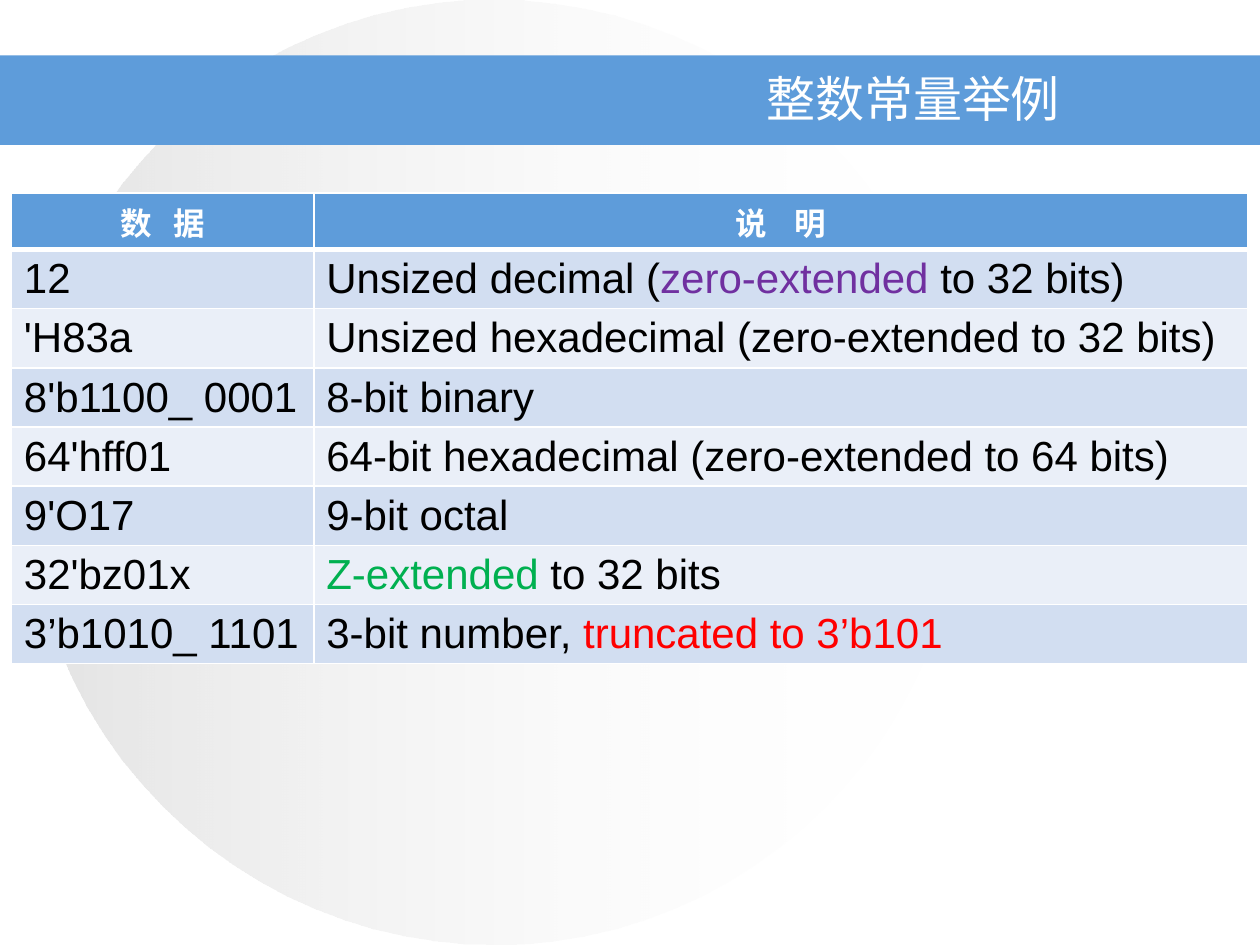
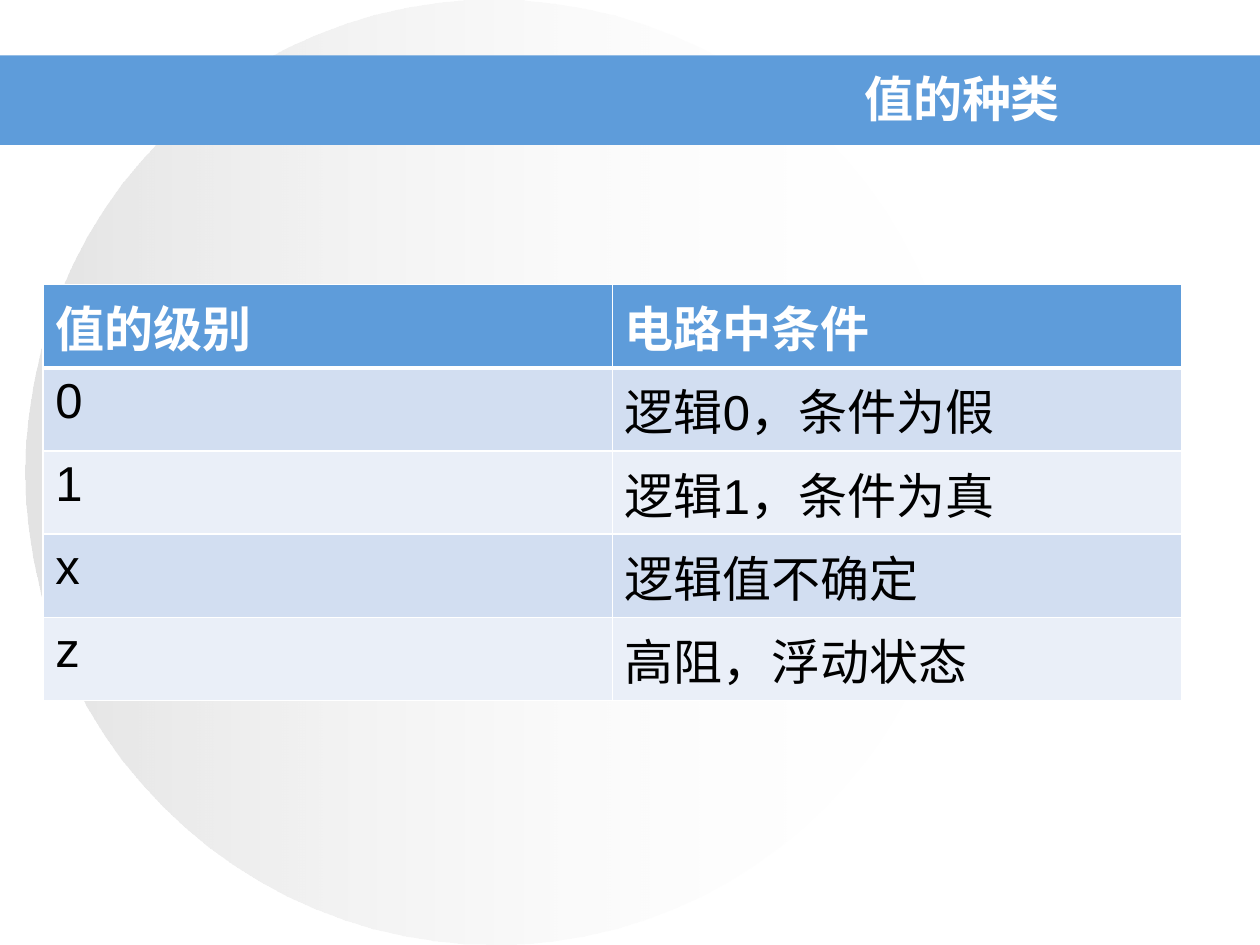
from lxml import etree
from pptx import Presentation
from pptx.dml.color import RGBColor
from pptx.enum.shapes import MSO_SHAPE
from pptx.enum.text import MSO_ANCHOR, PP_ALIGN
from pptx.oxml.ns import qn
from pptx.util import Inches, Pt

BLUE = "5E9CDA"
WHITE = "FFFFFF"
BLACK = "000000"
PURPLE = "7030A0"
GREEN = "00B050"
RED = "FF0000"
GREY = "C0C0C0"
ROW_FILLS = ("D2DEF1", "EAEFF8")
CJK_FONT = "Noto Sans CJK SC"
LATIN_FONT = "Arial"


def color(hex_text):
    return RGBColor.from_string(hex_text)


def format_run(run, size, hex_text, bold=False, latin=LATIN_FONT, spacing=0):
    """Style a run; spacing is the extra gap after each letter in points."""
    run.font.size = Pt(size)
    run.font.bold = bold
    run.font.name = latin
    run.font.color.rgb = color(hex_text)
    properties = run.font._element
    east_asian = etree.Element(qn("a:ea"), typeface=CJK_FONT)
    properties.find(qn("a:latin")).addnext(east_asian)
    if spacing:
        properties.set("spc", str(spacing * 100))


def add_plain_shape(slide, kind, left, top, width, height):
    shape = slide.shapes.add_shape(
        kind, Inches(left), Inches(top), Inches(width), Inches(height))
    shape.shadow.inherit = False
    shape.line.fill.background()
    return shape


def add_background(slide):
    """Draw the fading circle and the title band."""
    circle = add_plain_shape(slide, MSO_SHAPE.OVAL, 0.2, 0, 7.44, 7.5)
    circle.fill.gradient()
    circle.fill.gradient_angle = 0
    stops = circle.fill.gradient_stops
    for stop, hex_text, position, opacity in zip(stops, (GREY, WHITE), (0, 1), (44, 0)):
        stop.color.rgb = color(hex_text)
        stop.position = position
        rgb_element = stop._gs.find(qn("a:srgbClr"))
        etree.SubElement(rgb_element, qn("a:alpha"), val=str(opacity * 1000))

    band = add_plain_shape(slide, MSO_SHAPE.RECTANGLE, 0, 0.44, 10, 0.71)
    band.fill.solid()
    band.fill.fore_color.rgb = color(BLUE)


def add_title(slide, text, bold):
    box = slide.shapes.add_textbox(Inches(1.93), Inches(0.51), Inches(6.58), Inches(0.53))
    frame = box.text_frame
    frame.word_wrap = True
    frame.vertical_anchor = MSO_ANCHOR.MIDDLE
    frame.text = text
    paragraph = frame.paragraphs[0]
    paragraph.alignment = PP_ALIGN.RIGHT
    format_run(paragraph.runs[0], 28, WHITE, bold, CJK_FONT)


def style_cell(cell, fill, top_width, bottom_width):
    cell.margin_bottom = Inches(0.01)
    cell.fill.solid()
    cell.fill.fore_color.rgb = color(fill)
    properties = cell._tc.get_or_add_tcPr()
    widths = (("lnL", 1), ("lnR", 1), ("lnT", top_width), ("lnB", bottom_width))
    for index, (side, width) in enumerate(widths):
        line = etree.Element(qn(f"a:{side}"), w=str(Pt(width)))
        line_fill = etree.SubElement(line, qn("a:solidFill"))
        etree.SubElement(line_fill, qn("a:srgbClr"), val=WHITE)
        properties.insert(index, line)


def fill_body_cell(cell, content, size):
    """Write a string, or a list of (text, colour) parts, into a cell."""
    parts = [(content, BLACK)] if isinstance(content, str) else content
    for text, hex_text in parts:
        run = cell.text_frame.paragraphs[0].add_run()
        run.text = text
        format_run(run, size, hex_text)


def add_value_table(slide, left, top, column_widths, row_heights, headers, rows,
                    header_size, body_size, header_alignment, header_spacing=(0, 0)):
    """Add a table; row_heights holds the header height and the body row height."""
    header_height, body_height = row_heights
    heights = [header_height] + [body_height] * len(rows)
    table = slide.shapes.add_table(
        len(heights), len(headers), Inches(left), Inches(top),
        Inches(sum(column_widths)), Inches(sum(heights))).table
    for column, width in zip(table.columns, column_widths):
        column.width = Inches(width)
    for table_row, height in zip(table.rows, heights):
        table_row.height = Inches(height)

    for cell, text, spacing in zip(table.rows[0].cells, headers, header_spacing):
        style_cell(cell, BLUE, 1, 3)
        cell.text_frame.text = text
        paragraph = cell.text_frame.paragraphs[0]
        paragraph.alignment = header_alignment
        format_run(paragraph.runs[0], header_size, WHITE, True, spacing=spacing)

    for row_index, row in enumerate(rows):
        for column_index, content in enumerate(row):
            cell = table.cell(row_index + 1, column_index)
            style_cell(cell, ROW_FILLS[row_index % 2], 1 if row_index else 3, 1)
            fill_body_cell(cell, content, body_size)


def add_titled_slide(presentation, title, bold=False):
    slide = presentation.slides.add_slide(presentation.slide_layouts[6])
    add_background(slide)
    add_title(slide, title, bold)
    return slide


def add_constants_slide(presentation):
    slide = add_titled_slide(presentation, "整数常量举例")
    constants = [
        ("12", [("Unsized decimal (", BLACK), ("zero-extended", PURPLE),
                (" to 32 bits)", BLACK)]),
        ("'H83a", "Unsized hexadecimal (zero-extended to 32 bits)"),
        ("8'b1100_ 0001", "8-bit binary"),
        ("64'hff01", "64-bit hexadecimal (zero-extended to 64 bits)"),
        ("9'O17", "9-bit octal"),
        ("32'bz01x", [("Z-extended", GREEN), (" to 32 bits", BLACK)]),
        ("3’b1010_ 1101", [("3-bit number, ", BLACK), ("truncated to 3’b101", RED)]),
    ]
    add_value_table(slide, 0.09, 1.53, (2.4, 7.41), (0.45, 0.47), ("数 据", "说 明"),
                    constants, 18, 24, PP_ALIGN.CENTER, header_spacing=(4, 6))


def add_levels_slide(presentation):
    slide = add_titled_slide(presentation, "值的种类", bold=True)
    levels = [
        ("0", "逻辑0，条件为假"),
        ("1", "逻辑1，条件为真"),
        ("x", "逻辑值不确定"),
        ("z", "高阻，浮动状态"),
    ]
    add_value_table(slide, 0.34, 2.26, (4.52, 4.52), (0.66, 0.66), ("值的级别", "电路中条件"),
                    levels, 28, 28, PP_ALIGN.LEFT)


def main():
    presentation = Presentation()
    presentation.slide_width = Inches(10)
    presentation.slide_height = Inches(7.5)
    add_constants_slide(presentation)
    add_levels_slide(presentation)
    presentation.save("out.pptx")


if __name__ == "__main__":
    main()
